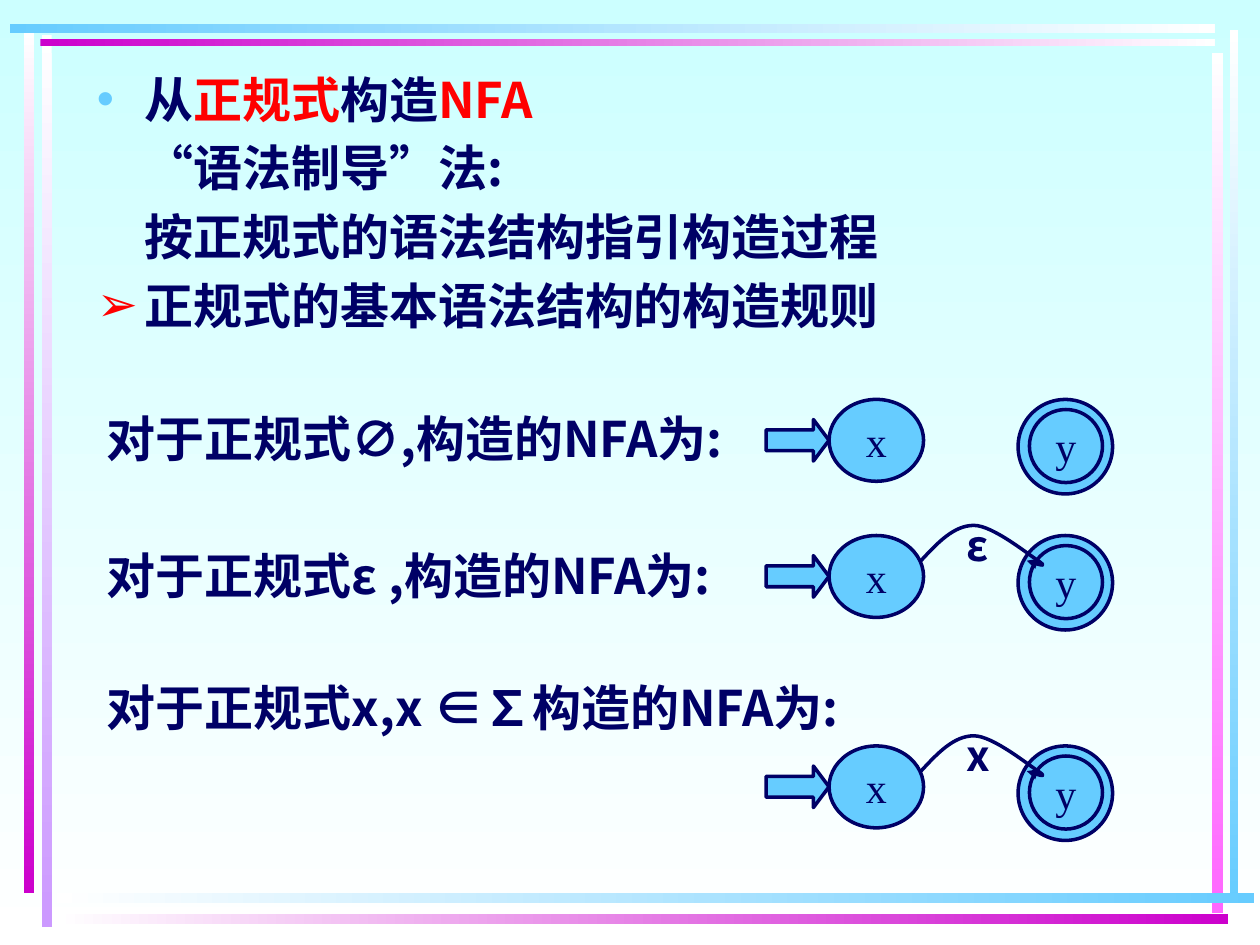
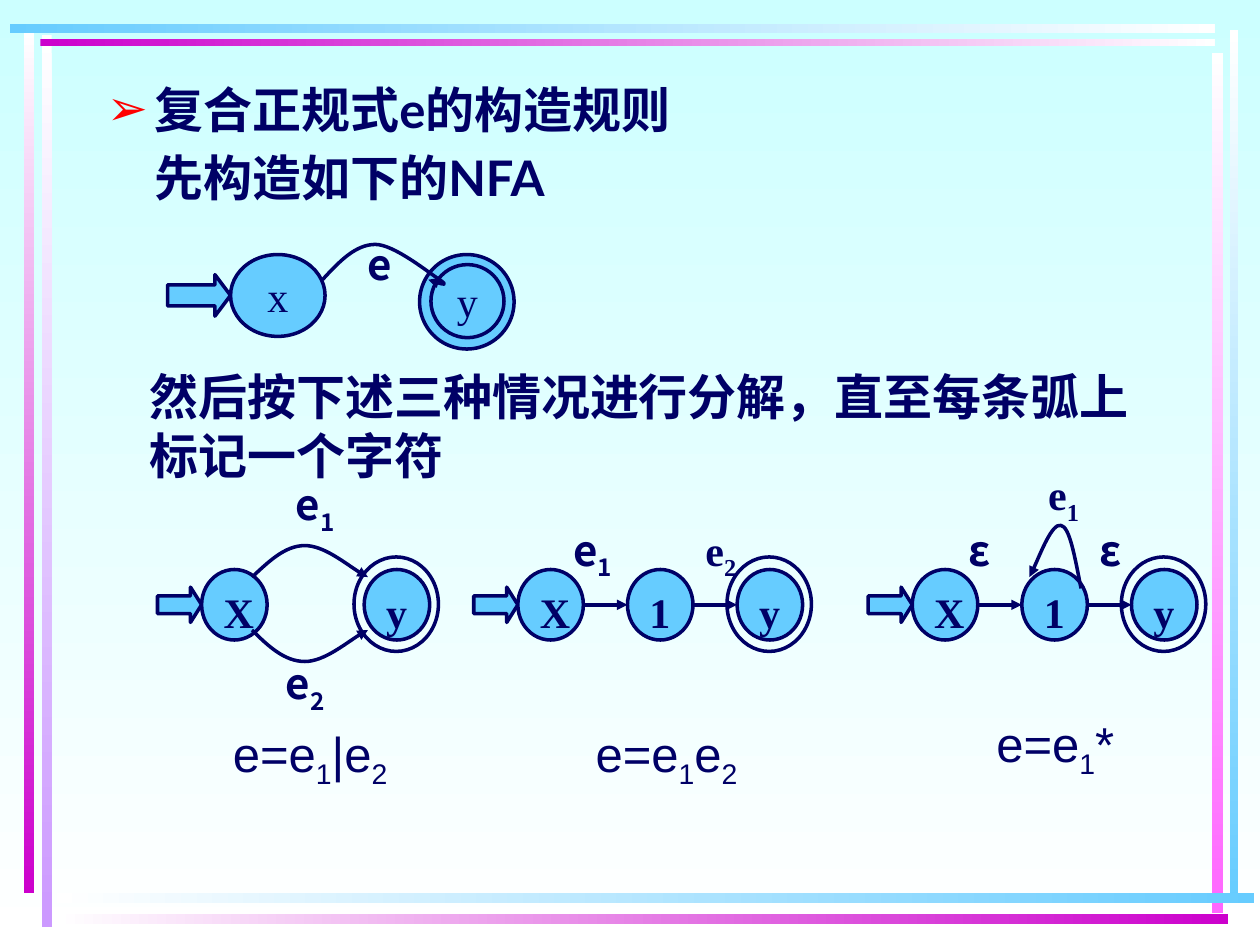
"""Build two slides on constructing an NFA from a regular expression."""
from dataclasses import dataclass
from lxml.etree import SubElement
from pptx import Presentation
from pptx.dml.color import RGBColor as RGB
from pptx.enum.shapes import MSO_CONNECTOR as CONN, MSO_SHAPE as SHAPE
from pptx.enum.text import MSO_ANCHOR as ANCHOR, PP_ALIGN as ALIGN
from pptx.oxml.ns import qn
from pptx.util import Inches, Pt


@dataclass(frozen=True)
class Theme:
    navy: str = "000066"
    sky: str = "66CCFF"
    red: str = "FF0000"
    white: str = "FFFFFF"
    pale: str = "CCFFFF"
    magenta: str = "CC00CC"
    lilac: str = "CC99FF"
    pink: str = "FF66FF"
    cjk: str = "Noto Sans CJK SC"
    serif: str = "Times New Roman"
    sans: str = "Arial"
    title: str = "Lato"
    body: int = 28
    label: int = 24
    line: int = 2
    indent: float = 0.38


T = Theme()
BODY = {"size": Pt(T.body), "bold": True, "name": T.cjk}
LABEL = {"size": Pt(T.label), "bold": True, "name": T.cjk}
SERIF = {**LABEL, "name": T.serif}
STATE = {**SERIF, "bold": False}
EQUATION = {"size": Pt(T.body), "bold": False, "name": T.sans}
DOWN, ACROSS = 270, 0
BANDS = [
    (0.33, 0.28, 0.08, 7.08, T.white, T.lilac, DOWN),
    (0.19, 0.25, 0.08, 6.84, T.white, T.magenta, DOWN),
    (9.76, 0.24, 0.07, 6.93, T.white, T.sky, DOWN),
    (9.62, 0.42, 0.09, 6.83, T.white, T.pink, DOWN),
    (0.45, 7.09, 9.5, 0.08, T.white, T.sky, ACROSS),
    (0.45, 7.25, 9.3, 0.08, T.white, T.magenta, ACROSS),
    (0.32, 0.31, 9.32, 0.06, T.magenta, T.white, ACROSS),
    (0.08, 0.19, 9.56, 0.07, T.sky, T.white, ACROSS),
]
ARC = [(1.23, 0.2), (1.36, 0.06), (1.49, -0.08), (1.65, -0.08), (1.8, -0.08),
       (2.08, 0.15), (2.16, 0.2), (2.23, 0.25), (2.15, 0.23), (2.07, 0.2)]
ROW = 4.52


def set_gradient(fill, first, last, angle):
    """Fill with a two-colour linear gradient."""
    fill.gradient()
    fill.gradient_angle = angle
    for stop, color in zip(fill.gradient_stops, (first, last)):
        stop.color.rgb = RGB.from_string(color)


def add_run(p, text, fmt, color=T.navy, sub=False):
    """Add one formatted run, lowered if it is a subscript."""
    r = p.add_run()
    r.text = text
    for key, value in fmt.items():
        setattr(r.font, key, value)
    r.font.color.rgb = RGB.from_string(color)
    rPr = r._r.get_or_add_rPr()
    SubElement(rPr, qn("a:ea")).set("typeface", T.cjk)
    if sub:
        rPr.set("baseline", "-25000")


def add_marked(p, text, fmt):
    """Write text in which an underscore lowers the next character."""
    head, *tails = text.split("_")
    add_run(p, head, fmt)
    for tail in tails:
        add_run(p, tail[0], fmt, sub=True)
        if tail[1:]:
            add_run(p, tail[1:], fmt)


def add_box(s, x, y, w, h):
    """Add a wrapping text box and return its text frame."""
    tf = s.shapes.add_textbox(*map(Inches, (x, y, w, h))).text_frame
    tf.word_wrap = True
    tf.margin_right = 0
    return tf


def add_text(s, x, y, w, h, text, fmt=BODY):
    """Add a one-paragraph text box."""
    add_marked(add_box(s, x, y, w, h).paragraphs[0], text, fmt)


def add_label(s, x, y, text, fmt=LABEL):
    """Add the label of a transition."""
    add_text(s, x, y, 0.52, 0.42, text, fmt)


def add_outline(s, x, y, w, h, items, fmt=BODY):
    """Add hanging paragraphs given as (bullet, bullet colour, runs)."""
    tf = add_box(s, x, y, w, h)
    for i, (bullet, color, runs) in enumerate(items):
        p = tf.add_paragraph() if i else tf.paragraphs[0]
        pPr = p._p.get_or_add_pPr()
        pPr.set("marL", str(Inches(T.indent)))
        pPr.set("indent", str(-Inches(T.indent) if bullet else 0))
        if i:
            p.space_before = Pt(T.body * 0.2)
        if bullet:
            clr = SubElement(pPr, qn("a:buClr"))
            SubElement(clr, qn("a:srgbClr")).set("val", color)
            SubElement(pPr, qn("a:buFont")).set("typeface", T.sans)
            SubElement(pPr, qn("a:buChar")).set("char", bullet)
        for text, run_color in runs:
            add_run(p, text, fmt, run_color)


def set_line(sp, arrow=False):
    """Give a shape the navy line, with an arrowhead if wanted."""
    sp.line.color.rgb = RGB.from_string(T.navy)
    sp.line.width = Pt(T.line)
    if arrow:
        ln = sp._element.spPr.find(qn("a:ln"))
        SubElement(ln, qn("a:tailEnd")).set("type", "triangle")


def add_figure(s, kind, x, y, w, h, filled=True):
    """Add a preset shape in the diagram style."""
    sp = s.shapes.add_shape(kind, *map(Inches, (x, y, w, h)))
    sp.shadow.inherit = False
    if filled:
        sp.fill.solid()
        sp.fill.fore_color.rgb = RGB.from_string(T.sky)
    else:
        sp.fill.background()
    set_line(sp)
    return sp


def add_state(s, x, y, w, h, name, fmt, centred):
    """Add a named state circle."""
    tf = add_figure(s, SHAPE.OVAL, x, y, w, h).text_frame
    tf.word_wrap = not centred
    tf.vertical_anchor = ANCHOR.MIDDLE if centred else ANCHOR.TOP
    p = tf.paragraphs[0]
    p.alignment = ALIGN.CENTER if centred else ALIGN.LEFT
    add_run(p, name, fmt)


def add_entry(s, x, y, w, h, head):
    """Add the block arrow into the start state."""
    sp = add_figure(s, SHAPE.RIGHT_ARROW, x, y, w, h)
    sp.adjustments[1] = head


def add_arc(s, points, x=0, y=0):
    """Add a curved arrow through cubic control points moved by x, y."""
    pts = [(Inches(x + dx), Inches(y + dy)) for dx, dy in points]
    fb = s.shapes.build_freeform(*pts[0])
    fb.add_line_segments(pts[1:], close=False)
    sp = fb.convert_to_shape()
    sp.shadow.inherit = False
    sp.fill.background()
    set_line(sp, arrow=True)
    path = next(sp._element.iter(qn("a:path")))
    lines = path.findall(qn("a:lnTo"))
    for i in range(0, len(lines), 3):
        curve = SubElement(path, qn("a:cubicBezTo"))
        for line in lines[i:i + 3]:
            curve.append(line[0])
            path.remove(line)


def add_link(s, x1, x2, y):
    """Add a straight arrow between two states."""
    cx = s.shapes.add_connector(CONN.STRAIGHT, *map(Inches, (x1, y, x2, y)))
    set_line(cx, arrow=True)
    SubElement(cx._element.spPr, qn("a:effectLst"))


def add_basic_nfa(s, x, y, label=None):
    """Draw states x and y, joined by an arc when there is a label."""
    add_figure(s, SHAPE.OVAL, x + 2, y, 0.75, 0.75)
    add_state(s, x + 2.09, y + 0.08, 0.58, 0.58, "y", STATE, True)
    add_state(s, x + 0.5, y, 0.75, 0.65, "x", STATE, True)
    add_entry(s, x, y + 0.16, 0.5, 0.33, 0.375)
    if label:
        add_arc(s, ARC, x, y)
        add_label(s, x + 1.49, y - 0.18, label)


def add_chain_nfa(s, x, names, pitch=0.87, linked=True):
    """Draw a row of states ending in a ringed one."""
    add_entry(s, x, ROW + 0.14, 0.35, 0.28, 0.314)
    lefts = [x + 0.35 + i * pitch for i in range(len(names))]
    for left, name in zip(lefts, names):
        add_state(s, left, ROW, 0.52, 0.56, name, SERIF, False)
    if linked:
        for a, b in zip(lefts, lefts[1:]):
            add_link(s, a + 0.52, b, ROW + 0.28)
    add_figure(s, SHAPE.OVAL, lefts[-1] - 0.08, ROW - 0.1, 0.67, 0.75, False)


def new_slide(prs):
    """Add a blank slide with the shared background and frame."""
    s = prs.slides.add_slide(prs.slide_layouts[6])
    set_gradient(s.background.fill, T.pale, T.white, DOWN)
    for x, y, w, h, first, last, angle in BANDS:
        sp = s.shapes.add_shape(SHAPE.RECTANGLE, *map(Inches, (x, y, w, h)))
        sp.shadow.inherit = False
        sp.line.fill.background()
        set_gradient(sp.fill, first, last, angle)
    return s


def basic_rules(prs):
    """Build the slide with the rules for basic expressions."""
    s = new_slide(prs)
    add_outline(s, 0.67, 0.5, 8.58, 2.25, [
        ("•", T.sky, [("从", T.navy), ("正规式", T.red),
                      ("构造", T.navy), ("NFA", T.red)]),
        (None, None, [("“语法制导”法:", T.navy)]),
        (None, None, [("按正规式的语法结构指引构造过程", T.navy)]),
        ("➢", T.red, [("正规式的基本语法结构的构造规则", T.navy)]),
    ])
    for text_y, w, text, nfa_y, label in [
        (3.19, 4.89, "对于正规式∅,构造的NFA为:", 3.17, None),
        (4.28, 4.94, "对于正规式ε ,构造的NFA为:", 4.25, "ε"),
        (5.33, 5.82, "对于正规式x,x ∈∑构造的NFA为:", 5.92, "x"),
    ]:
        add_text(s, 0.75, text_y, w, 1.03, text)
        add_basic_nfa(s, 6.08, nfa_y, label)


def compound_rules(prs):
    """Build the slide with the rules for compound expressions."""
    s = new_slide(prs)
    add_outline(s, 0.75, 0.58, 8.5, 1.25, [
        ("➢", T.red, [("复合正规式e的构造规则", T.navy)]),
        (None, None, [("先构造如下的NFA", T.navy)]),
    ], {**BODY, "name": T.title})
    add_basic_nfa(s, 1.33, 2.02, "e")
    add_text(s, 1.09, 2.86, 8.14, 1.03,
             "然后按下述三种情况进行分解，直至每条弧上标记一个字符",
             {**BODY, "name": T.sans})

    add_chain_nfa(s, 1.25, "Xy", pitch=1.29, linked=False)
    add_arc(s, [(2, 4.58), (2.13, 4.46), (2.26, 4.33), (2.42, 4.33),
                (2.57, 4.33), (2.83, 4.54), (2.92, 4.58)])
    add_arc(s, [(2, 5), (2.13, 5.13), (2.26, 5.25), (2.42, 5.25),
                (2.57, 5.25), (2.83, 5.04), (2.92, 5)])
    add_chain_nfa(s, 3.76, "X1y")
    add_chain_nfa(s, 6.89, "X1y")
    add_arc(s, [(8.58, 4.67), (8.53, 4.42), (8.49, 4.18), (8.42, 4.17),
                (8.35, 4.15), (8.21, 4.51), (8.17, 4.58)])

    for x, y, text, fmt in [
        (2.25, 3.75, "e_1", LABEL), (2.17, 5.17, "e_2", LABEL),
        (4.45, 4.11, "e_1", LABEL), (5.5, 4.11, "e_2", SERIF),
        (7.59, 4.11, "ε", LABEL), (8.63, 4.11, "ε", LABEL),
        (8.22, 3.67, "e_1", SERIF),
    ]:
        add_label(s, x, y, text, fmt)
    for x, y, text in [(1.75, 5.69, "e=e_1|e_2"), (4.63, 5.69, "e=e_1e_2"),
                       (7.81, 5.61, "e=e_1*")]:
        add_text(s, x, y, 1.5, 0.57, text, EQUATION)


def main():
    """Build and save the deck."""
    prs = Presentation()
    prs.slide_width, prs.slide_height = Inches(10), Inches(7.5)
    basic_rules(prs)
    compound_rules(prs)
    prs.save("out.pptx")


if __name__ == "__main__":
    main()
